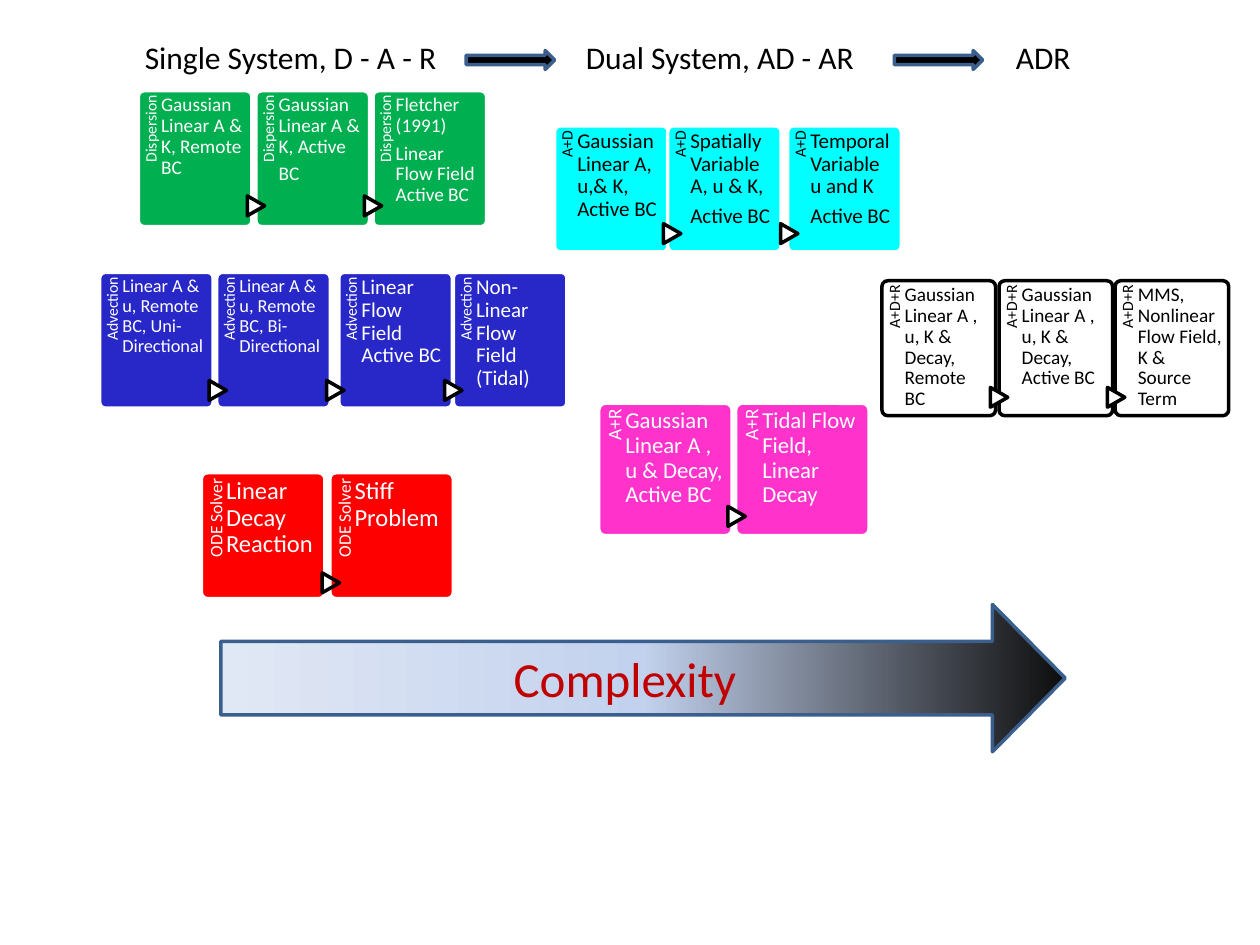
from copy import deepcopy

from pptx import Presentation
from pptx.dml.color import RGBColor
from pptx.enum.shapes import MSO_SHAPE
from pptx.enum.text import MSO_ANCHOR, PP_ALIGN
from pptx.util import Cm, Pt

CARD, MARKER = MSO_SHAPE.ROUNDED_RECTANGLE, MSO_SHAPE.FLOWCHART_EXTRACT
RIGHT_ARROW, DOWN_ARROW = MSO_SHAPE.RIGHT_ARROW, MSO_SHAPE.DOWN_ARROW
LEFT, CENTER, RIGHT = PP_ALIGN.LEFT, PP_ALIGN.CENTER, PP_ALIGN.RIGHT

COLORS = {
    "white": "FFFFFF", "black": "000000", "blue": "2828C8", "green": "00B050",
    "red": "FF0000", "pink": "FF33CC", "cyan": "00FFFF", "outline": "3A5F8C",
    "title": "C00000", "dark": "0D0D0D", "mid": "C2D1ED", "pale": "E1E8F5",
}


def add_shape(kind, left, top, width, height, fill, line):
    shape = slide.shapes.add_shape(kind, Cm(left), Cm(top), Cm(width), Cm(height))
    shape.shadow.inherit = False
    if fill:
        shape.fill.solid()
        shape.fill.fore_color.rgb = RGBColor.from_string(COLORS[fill])
    else:
        shape.fill.background()
    shape.line.color.rgb = RGBColor.from_string(COLORS[line])
    shape.line.width = Pt(2)
    return shape


def write(frame, paragraphs, size, color, align=LEFT, spacing=None):
    frame.word_wrap = True
    for i, words in enumerate(paragraphs):
        paragraph = frame.paragraphs[0] if i == 0 else frame.add_paragraph()
        paragraph.alignment = align
        if spacing:
            paragraph.line_spacing = spacing
            paragraph.space_after = Pt(round(size * 0.35, 1))
        run = paragraph.add_run()
        run.text = words
        run.font.size = Pt(size)
        run.font.name = "Calibri"
        run.font.color.rgb = RGBColor.from_string(COLORS[color])


prs = Presentation()
prs.slide_width, prs.slide_height = Cm(25.4), Cm(19.05)
slide = prs.slides.add_slide(prs.slide_layouts[6])

# Complexity arrow, turned to point right
complexity = add_shape(DOWN_ARROW, 11.48, 5.16, 2.97, 17.02, None, "outline")
complexity.rotation = 270
complexity.adjustments[0], complexity.adjustments[1] = 0.5, 0.494
complexity.fill.gradient()
complexity.fill.gradient_angle = 90
stop_list = complexity.fill._fill._gradFill.gsLst
stop_list.append(deepcopy(stop_list[-1]))
for stop, position, shade in zip(complexity.fill.gradient_stops, (0, 0.5, 1),
                                 ("dark", "mid", "pale")):
    stop.position = position
    stop.color.rgb = RGBColor.from_string(COLORS[shade])
complexity.text_frame.vertical_anchor = MSO_ANCHOR.MIDDLE
complexity.text_frame._txBody.bodyPr.set("vert", "vert")
write(complexity.text_frame, ["Complexity"], 28, "title", CENTER)

# Card groups: label, label size, fill, line, text, marker fill, top, width, height,
# marker centre height, cards (left, marker centre, text size, paragraphs)
groups = [
    ("Advection", 9, "blue", "white", "white", "white", 5.49, 2.29, 2.74, 7.87, [
        (2.01, None, 10.5, ["Linear A & u, Remote BC, Uni-Directional"]),
        (4.37, 4.39, 10.5, ["Linear A & u, Remote BC, Bi- Directional"]),
        (6.83, 6.76, 12, ["Linear Flow Field Active BC"]),
        (9.14, 9.14, 12, ["Non-Linear Flow Field (Tidal)"])]),
    ("Dispersion", 9, "green", "white", "white", "white", 1.83, 2.29, 2.74, 4.15, [
        (2.79, None, 11, ["Gaussian Linear A & K, Remote BC"]),
        (5.16, 5.16, 11, ["Gaussian Linear A & K, Active", "BC"]),
        (7.52, 7.52, 11, ["Fletcher (1991)", "Linear Flow Field Active BC"])]),
    ("ODE Solver", 10, "red", "white", "white", None, 9.53, 2.49, 2.54, 11.75, [
        (4.06, None, 14, ["Linear Decay Reaction"]),
        (6.65, 6.67, 14, ["Stiff Problem"])]),
    ("A+R", 11, "pink", "white", "white", "white", 8.13, 2.69, 2.67, 10.41, [
        (12.07, None, 13, ["Gaussian Linear A , u & Decay, Active BC"]),
        (14.83, 14.85, 13, ["Tidal Flow Field, Linear Decay"])]),
    ("A+D", 9, "cyan", "white", "black", "white", 2.54, 2.29, 2.54, 4.71, [
        (11.18, None, 12, ["Gaussian Linear A, u,& K, Active BC"]),
        (13.46, 13.55, 12, ["Spatially Variable A, u & K,", "Active BC"]),
        (15.88, 15.91, 12, ["Temporal Variable u and K", "Active BC"])]),
    ("A+D+R", 9, "white", "black", "black", "white", 5.66, 2.29, 2.72, 8.01, [
        (17.78, None, 11, ["Gaussian Linear A , u, K & Decay, Remote BC"]),
        (20.14, 20.14, 11, ["Gaussian Linear A , u, K & Decay, Active BC"]),
        (22.48, 22.5, 11, ["MMS, Nonlinear Flow Field, K & Source Term"])]),
]
MARKER_W, MARKER_H = 0.4, 0.35

for (label, label_size, fill, line, ink, marker_fill,
     top, width, height, marker_y, cards) in groups:
    label_w, label_h = 0.82 * height, 0.2 * width
    for left, marker_x, size, paragraphs in cards:
        card = add_shape(CARD, left, top, width, height, fill, line)
        card.adjustments[0] = 0.05

        # Side label, centred on the left strip and reading upwards
        side = slide.shapes.add_textbox(
            Cm(left + 0.1 * width - label_w / 2), Cm(top + 0.41 * height - label_h / 2),
            Cm(label_w), Cm(label_h))
        side.rotation = 270
        write(side.text_frame, [label], label_size, ink, RIGHT, 0.9)

        # Marker leading in from the previous card
        if marker_x:
            marker = add_shape(MARKER, marker_x - MARKER_W / 2, marker_y - MARKER_H / 2,
                               MARKER_W, MARKER_H, marker_fill, "black")
            marker.rotation = 90

        body = slide.shapes.add_textbox(Cm(left + 0.2 * width), Cm(top),
                                        Cm(0.745 * width), Cm(height))
        write(body.text_frame, paragraphs, size, ink, LEFT, 0.9)

        inset = 0.09 if label_size == 9 else 0.12
        for frame, right in ((side.text_frame, inset), (body.text_frame, 0)):
            frame.margin_left = frame.margin_bottom = 0
            frame.margin_top, frame.margin_right = Cm(inset), Cm(right)

# Headings and the arrows between them
for left, width, heading in ((2.67, 7.49, "Single System, D - A - R"),
                             (11.56, 6.1, "Dual System, AD - AR"),
                             (20.23, 3, "ADR")):
    box = slide.shapes.add_textbox(Cm(left), Cm(0.64), Cm(width), Cm(1.02))
    write(box.text_frame, [heading], 18, "black")
for left in (9.4, 18.03):
    add_shape(RIGHT_ARROW, left, 1.02, 1.78, 0.38, "black", "outline")

prs.save("out.pptx")
